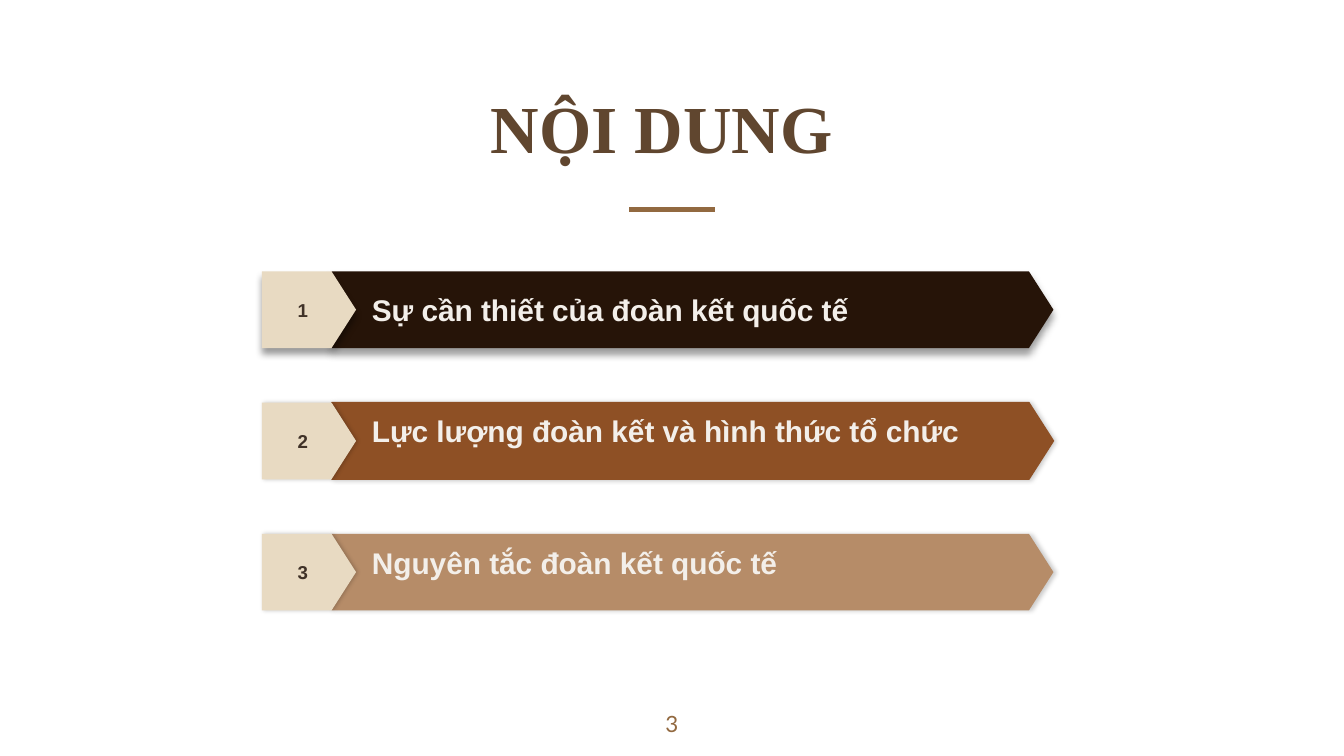
from lxml import etree
from pptx import Presentation
from pptx.dml.color import RGBColor
from pptx.enum.shapes import MSO_CONNECTOR, MSO_SHAPE
from pptx.enum.text import MSO_ANCHOR as ANCHOR, PP_ALIGN as ALIGN
from pptx.oxml.ns import qn
from pptx.util import Cm, Pt


def rgb(value):
    return RGBColor.from_string(value)


class Deck:
    brown = "926940"
    cream = "E8DAC2"
    font = "Arial"
    deep_shadow = (4, 3, 90, 40)
    soft_shadow = (2.2, 0.8, 0, 20)

    def __init__(self):
        self.prs = Presentation()
        self.prs.slide_width, self.prs.slide_height = Cm(25.4), Cm(14.29)
        self.slide = self.prs.slides.add_slide(self.prs.slide_layouts[6])

    def set_text(self, sp, text, size, color, font=font, bold=True,
                 align=ALIGN.CENTER, anchor=ANCHOR.MIDDLE, insets=(0.25,) * 4):
        tf = sp.text_frame
        tf.word_wrap = True
        tf.vertical_anchor = anchor
        tf.margin_left, tf.margin_top, tf.margin_right, tf.margin_bottom = map(Cm, insets)
        tf.text = text
        p = tf.paragraphs[0]
        p.alignment = align
        f = p.runs[0].font
        f.name, f.size, f.bold = font, Pt(size), bold
        f.color.rgb = rgb(color)

    def text(self, box, text, size, color, **style):
        sp = self.slide.shapes.add_textbox(*map(Cm, box))
        self.set_text(sp, text, size, color, **style)

    def rule(self, x1, x2, y):
        line = self.slide.shapes.add_connector(
            MSO_CONNECTOR.STRAIGHT, Cm(x1), Cm(y), Cm(x2), Cm(y))
        line.line.color.rgb = rgb(self.brown)
        line.line.width = Pt(2.25)
        etree.SubElement(line._element.spPr, qn("a:effectLst"))

    def shadow(self, sp, blur, distance, angle, opacity):
        sp.shadow.inherit = False
        effects = sp._element.spPr.find(qn("a:effectLst"))
        outer = etree.SubElement(
            effects, qn("a:outerShdw"), blurRad=str(Pt(blur)), dist=str(Pt(distance)),
            dir=str(angle * 60000), algn="bl", rotWithShape="0")
        color = etree.SubElement(outer, qn("a:srgbClr"), val="000000")
        etree.SubElement(color, qn("a:alpha"), val=str(opacity * 1000))

    def pentagon(self, shapes, box, fill, shadow, outline=None):
        sp = shapes.add_shape(MSO_SHAPE.PENTAGON, *map(Cm, box))
        sp.adjustments[0] = 0.32
        sp.fill.solid()
        sp.fill.fore_color.rgb = rgb(fill)
        if outline:
            sp.line.color.rgb = rgb(outline)
            sp.line.width = Pt(0.75)
        else:
            sp.line.fill.background()
        self.shadow(sp, *shadow)
        return sp

    def topic(self, number, text, top, fill, shadow, outline, bottom_inset):
        shapes = self.slide.shapes.add_group_shape().shapes
        banner = self.pentagon(shapes, (6.27, top, 13.64, 1.45), fill, shadow, outline)
        self.set_text(banner, text, 16, "F3EFEA", align=ALIGN.LEFT,
                      insets=(0.76, 0, 0, bottom_inset))
        label = self.pentagon(shapes, (4.95, top, 1.78, 1.45), self.cream, shadow)
        self.set_text(label, str(number), 10, "403228")


def main():
    deck = Deck()
    deck.rule(11.89, 13.51, 3.96)
    deck.text((5.05, 1.02, 14.91, 2.39), "NỘI DUNG", 36, "60462F",
              font="Times New Roman", anchor=ANCHOR.BOTTOM)
    deck.text((11.94, 13.18, 1.52, 1.09), "3", 12, deck.brown,
              font="Lato", bold=False, anchor=ANCHOR.TOP)
    topics = [
        ("Sự cần thiết của đoàn kết quốc tế", "261408", deck.deep_shadow, None, 0),
        ("Lực lượng đoàn kết và hình thức tổ chức", "8E5025", deck.soft_shadow, "8E5025", 0.38),
        ("Nguyên tắc đoàn kết quốc tế", "B68C68", deck.soft_shadow, None, 0.38),
    ]
    for i, (text, fill, shadow, outline, inset) in enumerate(topics):
        deck.topic(i + 1, text, 5.13 + 2.48 * i, fill, shadow, outline, inset)
    deck.prs.save("out.pptx")


if __name__ == "__main__":
    main()
